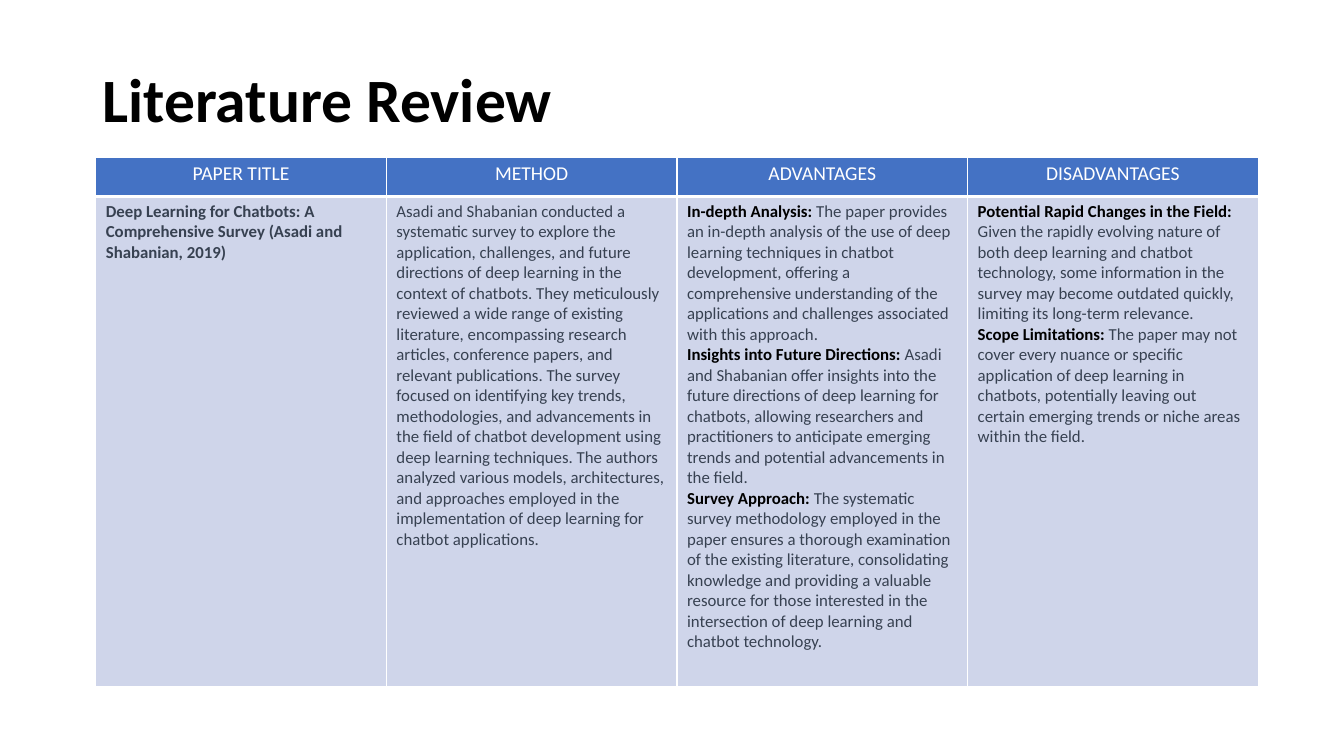
from lxml import etree
from pptx import Presentation
from pptx.dml.color import RGBColor
from pptx.enum.text import MSO_ANCHOR, PP_ALIGN
from pptx.oxml.ns import qn
from pptx.util import Inches, Pt

CENTER, LEFT = PP_ALIGN.CENTER, PP_ALIGN.LEFT
MIDDLE = MSO_ANCHOR.MIDDLE
FONT = "Calibri"
BLACK, WHITE, GREY = "000000", "FFFFFF", "374151"
HEADER_FILL, BODY_FILL = "4472C4", "CFD5EA"

TITLE = "Literature Review"
HEADERS = ["PAPER TITLE", "METHOD", "ADVANTAGES", "DISADVANTAGES"]
PAPER = "Deep Learning for Chatbots: A Comprehensive Survey (Asadi and Shabanian, 2019)"
METHOD = (
    "Asadi and Shabanian conducted a systematic survey to explore the application, "
    "challenges, and future directions of deep learning in the context of chatbots. "
    "They meticulously reviewed a wide range of existing literature, encompassing "
    "research articles, conference papers, and relevant publications. The survey "
    "focused on identifying key trends, methodologies, and advancements in the field "
    "of chatbot development using deep learning techniques. The authors analyzed "
    "various models, architectures, and approaches employed in the implementation of "
    "deep learning for chatbot applications."
)
ADVANTAGES = [
    ("In-depth Analysis:",
     " The paper provides an in-depth analysis of the use of deep learning techniques "
     "in chatbot development, offering a comprehensive understanding of the "
     "applications and challenges associated with this approach."),
    ("Insights into Future Directions:",
     " Asadi and Shabanian offer insights into the future directions of deep learning "
     "for chatbots, allowing researchers and practitioners to anticipate emerging "
     "trends and potential advancements in the field."),
    ("Survey Approach:",
     " The systematic survey methodology employed in the paper ensures a thorough "
     "examination of the existing literature, consolidating knowledge and providing a "
     "valuable resource for those interested in the intersection of deep learning and "
     "chatbot technology."),
]
DISADVANTAGES = [
    ("Potential Rapid Changes in the Field:",
     " Given the rapidly evolving nature of both deep learning and chatbot technology, "
     "some information in the survey may become outdated quickly, limiting its "
     "long-term relevance."),
    ("Scope Limitations:",
     " The paper may not cover every nuance or specific application of deep learning "
     "in chatbots, potentially leaving out certain emerging trends or niche areas "
     "within the field."),
]

TABLE_LEFT, TABLE_TOP, TABLE_WIDTH = 0.95, 1.56, 11.53
ROW_HEIGHTS = [0.39, 4.86]


def color(value):
    return RGBColor.from_string(value)


def write(frame, paragraphs, size, align=LEFT):
    for index, spans in enumerate(paragraphs):
        para = frame.paragraphs[0] if index == 0 else frame.add_paragraph()
        para.alignment = align
        for text, ink, bold in spans:
            span = para.add_run()
            span.text = text
            span.font.name = FONT
            span.font.size = Pt(size)
            span.font.bold = bold
            span.font.color.rgb = color(ink)


def style_cell(cell, fill, top, bottom):
    properties = cell._tc.get_or_add_tcPr()
    for side, width in (("L", 1), ("R", 1), ("T", top), ("B", bottom)):
        line = etree.SubElement(properties, qn("a:ln" + side), w=str(Pt(width)))
        solid = etree.SubElement(line, qn("a:solidFill"))
        etree.SubElement(solid, qn("a:srgbClr"), val=WHITE)
    cell.fill.solid()
    cell.fill.fore_color.rgb = color(fill)


def labelled(points):
    return [[(label, BLACK, True), (text, GREY, False)] for label, text in points]


def add_review_table(page):
    table = page.shapes.add_table(
        len(ROW_HEIGHTS), len(HEADERS), Inches(TABLE_LEFT), Inches(TABLE_TOP),
        Inches(TABLE_WIDTH), Inches(sum(ROW_HEIGHTS))).table
    for row, height in zip(table.rows, ROW_HEIGHTS):
        row.height = Inches(height)
    body = [[[(PAPER, GREY, True)]], [[(METHOD, GREY, False)]],
            labelled(ADVANTAGES), labelled(DISADVANTAGES)]
    for column, (header, paragraphs) in enumerate(zip(HEADERS, body)):
        table.columns[column].width = Inches(TABLE_WIDTH / len(HEADERS))
        head_cell, body_cell = table.cell(0, column), table.cell(1, column)
        style_cell(head_cell, HEADER_FILL, 1, 3)
        style_cell(body_cell, BODY_FILL, 3, 1)
        write(head_cell.text_frame, [[(header, WHITE, False)]], 14, CENTER)
        write(body_cell.text_frame, paragraphs, 12)


def add_title(page):
    box = page.shapes.add_textbox(Inches(0.92), Inches(0.29), Inches(11.5), Inches(1.45))
    frame = box.text_frame
    frame.word_wrap = True
    frame.vertical_anchor = MIDDLE
    write(frame, [[(TITLE, BLACK, True)]], 44)
    frame.paragraphs[0].line_spacing = 0.9


def main():
    deck = Presentation()
    deck.slide_width, deck.slide_height = Inches(13.33), Inches(7.5)
    page = deck.slides.add_slide(deck.slide_layouts[6])
    add_review_table(page)
    add_title(page)
    deck.save("out.pptx")


if __name__ == "__main__":
    main()
